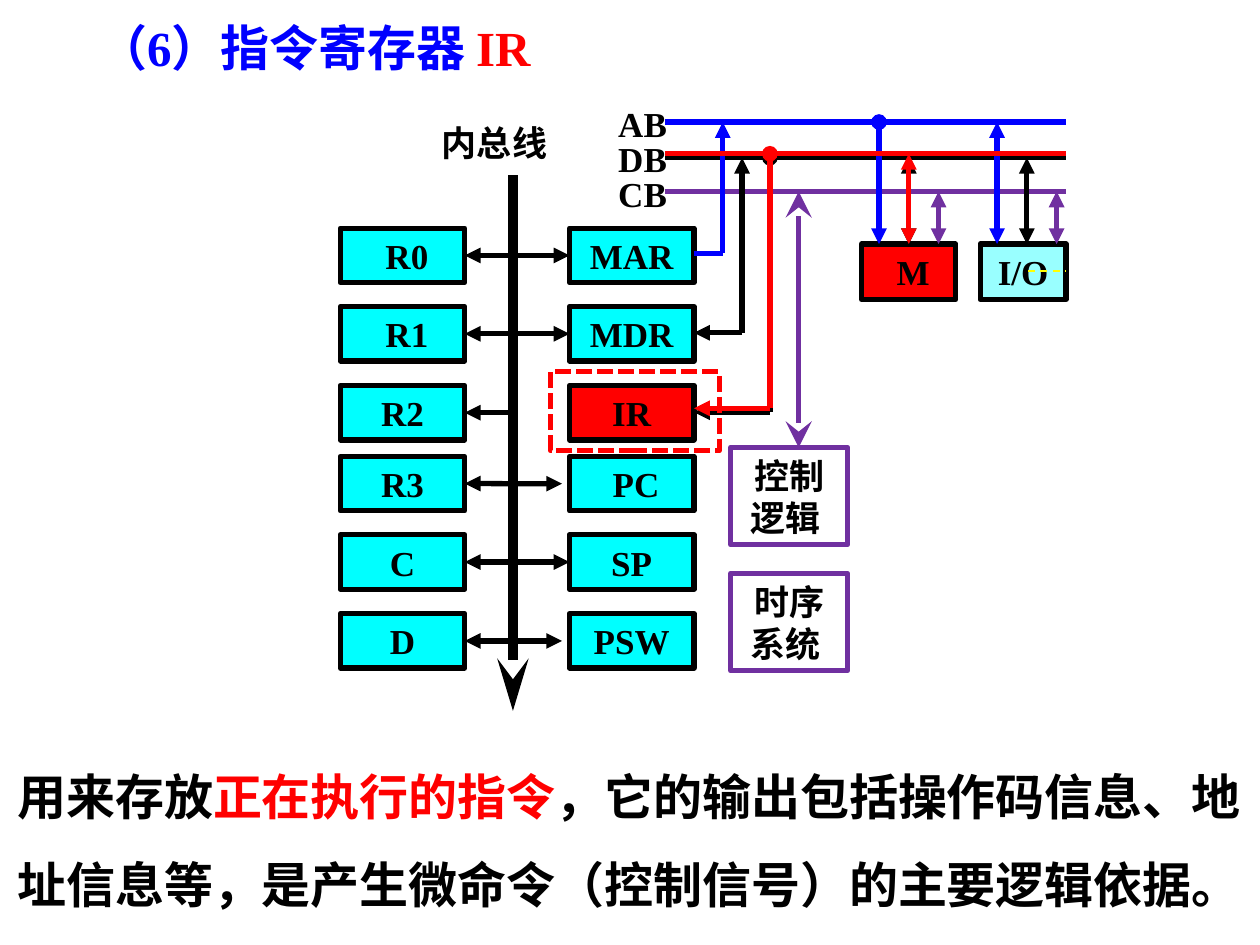
from dataclasses import dataclass
from typing import Optional

from lxml import etree
from pptx import Presentation
from pptx.dml.color import RGBColor
from pptx.enum import dml, shapes, text
from pptx.oxml.ns import qn
from pptx.util import Cm, Pt


@dataclass(frozen=True)
class Theme:
    black: str = "000000"
    blue: str = "0000FF"
    red: str = "FF0000"
    purple: str = "7030A0"
    cyan: str = "00FFFF"
    pale: str = "99FFFF"
    yellow: str = "FFFF00"
    font: str = "Times New Roman"
    body: int = 28
    label: int = 20
    stroke: float = 3


@dataclass(frozen=True)
class Block:
    caption: str
    left: float
    top: float
    width: float
    height: float
    fill: Optional[str] = None
    line: Optional[str] = None
    dash: Optional[dml.MSO_LINE] = None


@dataclass(frozen=True)
class Wire:
    start: tuple[float, float]
    end: tuple[float, float]
    color: str
    head: str = ""
    tail: str = ""
    width: float = 3
    arrow_width: str = "med"
    arrow_length: str = "med"
    dash: Optional[dml.MSO_LINE] = None


THEME = Theme()
deck = Presentation()
deck.slide_width, deck.slide_height = Cm(25.4), Cm(19.05)
page = deck.slides.add_slide(deck.slide_layouts[6])


def style_spans(para, colors: list[str], size: int) -> None:
    for span, color in zip(para.runs, colors):
        span.font.name = THEME.font
        span.font.size = Pt(size)
        span.font.bold = True
        span.font.color.rgb = RGBColor.from_string(color)


def draw_block(block: Block):
    """Draw a rectangle with a centred caption."""
    box = page.shapes.add_shape(
        shapes.MSO_SHAPE.RECTANGLE,
        *map(Cm, (block.left, block.top, block.width, block.height)))
    box.shadow.inherit = False
    if block.fill:
        box.fill.solid()
        box.fill.fore_color.rgb = RGBColor.from_string(block.fill)
    else:
        box.fill.background()
    if block.line:
        box.line.color.rgb = RGBColor.from_string(block.line)
        box.line.width = Pt(THEME.stroke)
        if block.dash:
            box.line.dash_style = block.dash
    else:
        box.line.fill.background()
    if block.caption:
        frame = box.text_frame
        frame.word_wrap = True
        frame.vertical_anchor = text.MSO_ANCHOR.MIDDLE
        frame.text = block.caption
        para = frame.paragraphs[0]
        para.alignment = text.PP_ALIGN.CENTER
        style_spans(para, [THEME.black], THEME.label)
    return box


def draw_wire(wire: Wire):
    """Draw a straight line with optional arrowheads."""
    link = page.shapes.add_connector(
        shapes.MSO_CONNECTOR.STRAIGHT, *map(Cm, wire.start + wire.end))
    link.line.color.rgb = RGBColor.from_string(wire.color)
    link.line.width = Pt(wire.width)
    if wire.dash:
        link.line.dash_style = wire.dash
    outline = link.line._get_or_add_ln()
    for tag, kind in (("a:headEnd", wire.head), ("a:tailEnd", wire.tail)):
        if kind:
            etree.SubElement(outline, qn(tag), type=kind,
                             w=wire.arrow_width, len=wire.arrow_length)
    etree.SubElement(link._element.spPr, qn("a:effectLst"))
    return link


def draw_passage(spans: list[tuple[str, str]], left: float, top: float,
                 width: float, height: float, spacing: float = 1.0):
    """Draw a wrapped paragraph made of coloured spans."""
    box = page.shapes.add_textbox(*map(Cm, (left, top, width, height)))
    box.text_frame.word_wrap = True
    para = box.text_frame.paragraphs[0]
    for words, _ in spans:
        para.add_run().text = words
    para.line_spacing = spacing
    style_spans(para, [color for _, color in spans], THEME.body)
    return box


# Title
title = draw_passage([("（6）指令寄存器 ", THEME.blue), ("IR", THEME.red)],
                     1.73, 0.23, 9.63, 1.45)
title.text_frame.margin_right = Cm(0.6)

# Inner bus
BUS_X = 10.34
draw_wire(Wire((BUS_X, 3.53), (BUS_X, 14.33), THEME.black, tail="stealth",
               width=6, arrow_length="lg"))

# System buses: address, data, control
BUS_LEFT, BUS_RIGHT = 13.41, 21.49
AB_Y, DB_Y, CB_Y, ACTIVE_Y = 2.46, 3.18, 3.86, 3.1
for y, color in ((AB_Y, THEME.blue), (CB_Y, THEME.purple), (DB_Y, THEME.black)):
    draw_wire(Wire((BUS_LEFT, y), (BUS_RIGHT, y), color))

# Registers in two columns, each row tied to the inner bus
LEFT_X, RIGHT_X, BOX_W, BOX_H = 6.86, 11.48, 2.51, 1.1
ROWS = [
    (" R0", "MAR", 4.6, "joined"),
    (" R1", "MDR", 6.18, "joined"),
    ("R2", "IR", 7.77, "none"),
    ("R3", " PC", 9.2, "short"),
    ("C", "SP", 10.78, "joined"),
    ("D", "PSW", 12.37, "short"),
]
for left_name, right_name, top, reach in ROWS:
    left_box = draw_block(Block(left_name, LEFT_X, top, BOX_W, BOX_H,
                                THEME.cyan, THEME.black))
    fill = THEME.red if right_name == "IR" else THEME.cyan
    right_box = draw_block(Block(right_name, RIGHT_X, top, BOX_W, BOX_H,
                                 fill, THEME.black))
    middle = top + BOX_H / 2
    start_x = {"joined": RIGHT_X, "short": 11.33, "none": BUS_X}[reach]
    link = draw_wire(Wire((start_x, middle), (LEFT_X + BOX_W, middle), THEME.black,
                          head="" if reach == "none" else "triangle",
                          tail="triangle"))
    if reach == "joined":
        link.begin_connect(right_box, 1)
    link.end_connect(left_box, 3)

# Memory and I/O with their taps on the three buses
DEVICE_Y, TAP_STEP = 4.92, 0.6
memory = draw_block(Block(" M", 17.37, DEVICE_Y, 1.9, 1.12, THEME.red, THEME.black))
draw_block(Block("I/O", 19.76, DEVICE_Y, 1.73, 1.12, THEME.pale, THEME.black))
for center, address_head in ((18.32, "oval"), (20.7, "triangle")):
    taps = ((-TAP_STEP, AB_Y, THEME.blue, address_head),
            (0, DB_Y, THEME.black, "triangle"),
            (TAP_STEP, CB_Y, THEME.purple, "triangle"))
    for shift, y, color, head in taps:
        draw_wire(Wire((center + shift, y), (center + shift, DEVICE_Y), color,
                       head, "triangle"))
draw_wire(Wire((20.73, 5.46), (BUS_RIGHT, 5.46), THEME.yellow, width=1,
               dash=dml.MSO_LINE.DASH))

# Register paths to the system buses
PORT_X, MAR_Y, MDR_Y, IR_Y = RIGHT_X + BOX_W, 5.11, 6.71, 8.31
for wire in (
    Wire((PORT_X, MAR_Y), (14.57, MAR_Y), THEME.blue),
    Wire((14.57, MAR_Y), (14.57, AB_Y), THEME.blue, tail="triangle"),
    Wire((14.96, MDR_Y), (PORT_X, MDR_Y), THEME.black, tail="triangle"),
    Wire((14.96, MDR_Y), (14.96, DB_Y), THEME.black, tail="triangle"),
    Wire((15.52, DB_Y), (15.52, IR_Y), THEME.black, head="oval"),
    Wire((15.52, IR_Y), (PORT_X, IR_Y), THEME.black, tail="triangle"),
    Wire((16.1, CB_Y), (16.1, 9.02), THEME.purple, "stealth", "stealth",
         arrow_width="lg", arrow_length="lg"),
):
    draw_wire(wire)

# Control units
for caption, top in (("控制逻辑 ", 9.02), ("时序系统 ", 11.56)):
    draw_block(Block(caption, 14.73, top, 2.36, 1.96, line=THEME.purple))

# Bus labels
for caption, left, top, width in (("内总线", 7.95, 2.31, 4.04), ("AB", 11.89, 1.93, 2.13),
                                  ("DB", 11.89, 2.64, 2.13), ("CB", 11.89, 3.35, 2.13)):
    draw_block(Block(caption, left, top, width, 1.12))

# Highlighted instruction path from memory to IR
draw_wire(Wire((BUS_RIGHT, ACTIVE_Y), (BUS_LEFT, ACTIVE_Y), THEME.red))
fetch = draw_wire(Wire((18.32, ACTIVE_Y), (18.32, DEVICE_Y), THEME.red,
                       "triangle", "triangle"))
fetch.end_connect(memory, 0)
draw_wire(Wire((15.52, ACTIVE_Y), (15.52, 8.23), THEME.red, head="oval"))
draw_wire(Wire((15.52, 8.23), (PORT_X, 8.23), THEME.red, tail="triangle"))

# Explanation
draw_passage([
    ("用来存放", THEME.black),
    ("正在执行的指令", THEME.red),
    ("，它的输出包括操作码信息、地址信息等，是产生微命令（控制信号）的主要逻辑依据。", THEME.black),
], 0.1, 14.73, 25.7, 3.84, spacing=1.5)

# Dashed frame around IR
draw_block(Block("", 11.1, 7.49, 3.4, 1.6, line=THEME.red,
                 dash=dml.MSO_LINE.SQUARE_DOT))

deck.save("out.pptx")
